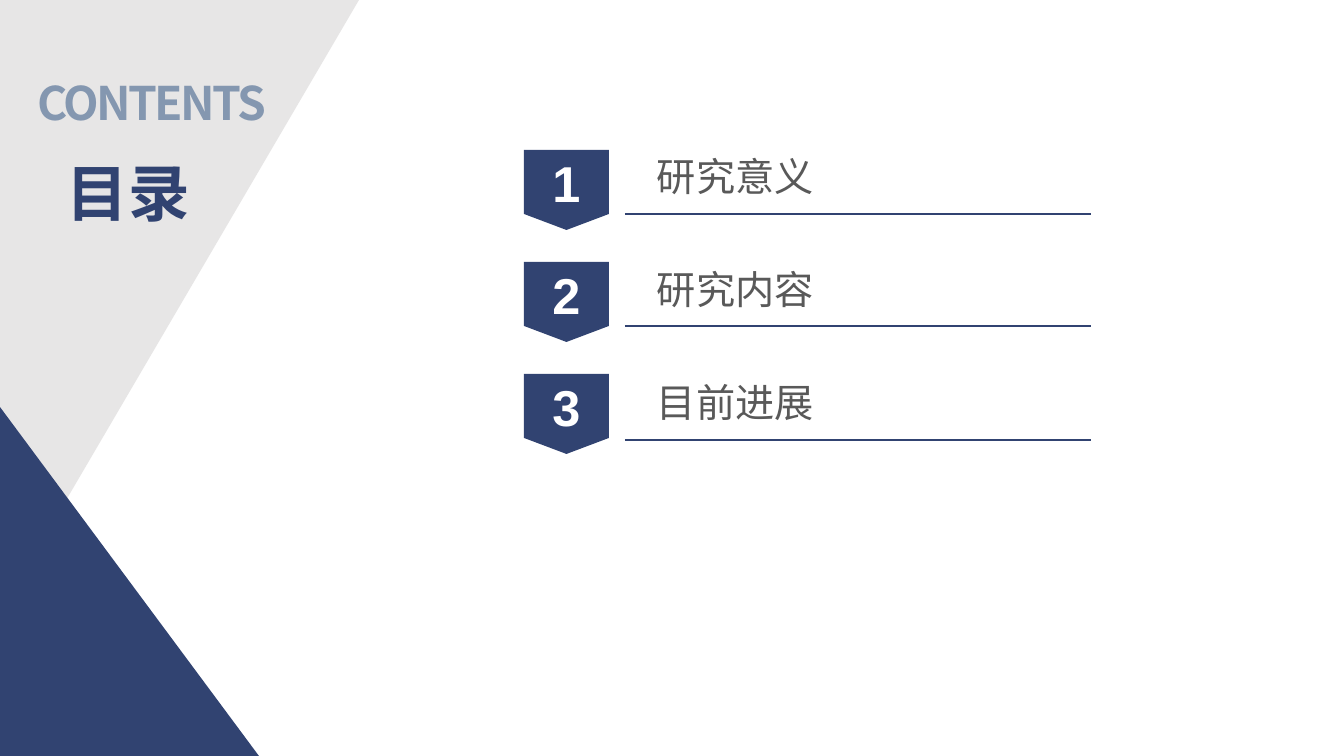
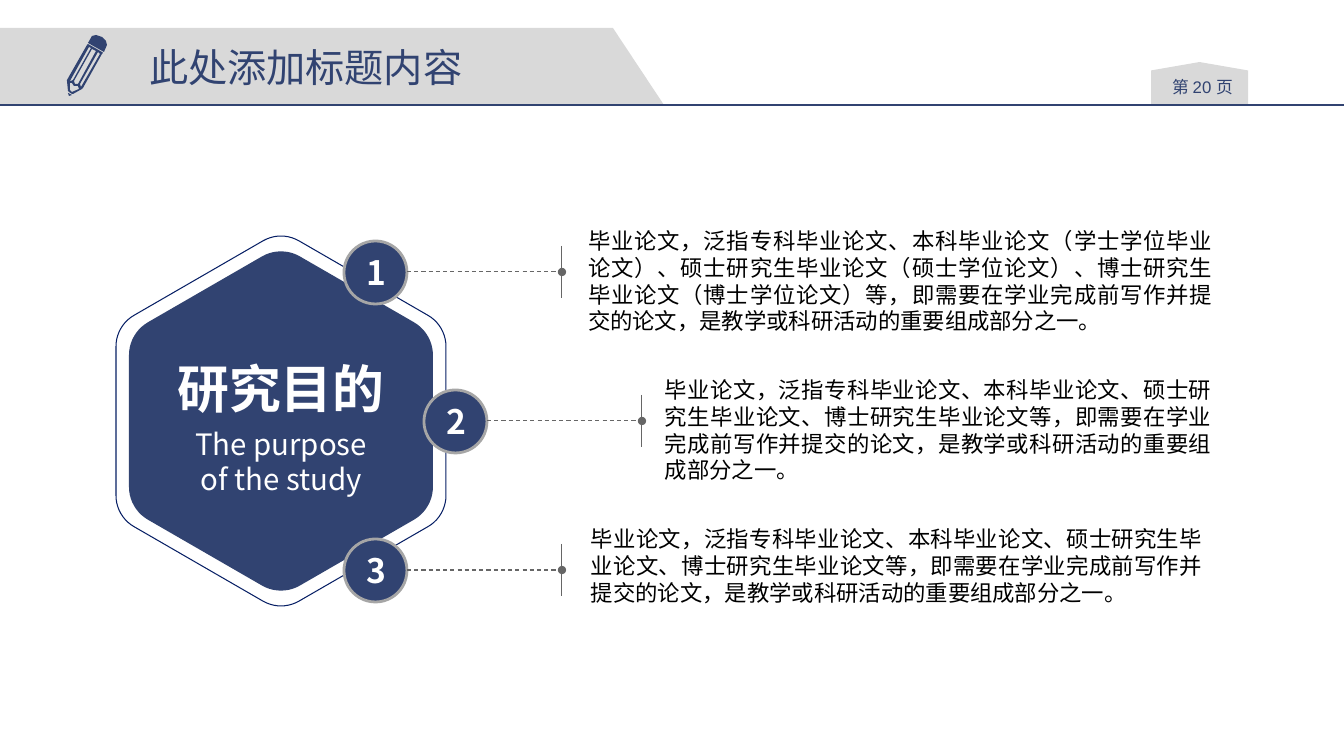
"""Build a contents slide and a research-purpose slide."""
from math import cos, radians, sin, sqrt

from lxml.etree import SubElement
from pptx import Presentation
from pptx.dml.color import RGBColor
from pptx.enum.dml import MSO_LINE
from pptx.enum.shapes import MSO_CONNECTOR, MSO_SHAPE
from pptx.enum.text import MSO_ANCHOR, MSO_AUTO_SIZE, PP_ALIGN
from pptx.oxml.ns import qn
from pptx.util import Pt

PX = 914400 / 100.8
NAVY, WHITE, BLACK = "314371", "FFFFFF", "000000"
PALE, BAND, STEEL = "E7E6E6", "D9D9D9", "8497B0"
CHARCOAL, LEADER, RING, OUTLINE = "595959", "666666", "A6A6A6", "071F65"
CJK = "Noto Sans CJK SC"


def style(shape, fill=None, line=None, width=1):
    """Set fill and line, and switch the theme shadow off."""
    if fill:
        shape.fill.solid()
        shape.fill.fore_color.rgb = RGBColor.from_string(fill)
    elif hasattr(shape, "fill"):
        shape.fill.background()
    if line:
        shape.line.color.rgb = RGBColor.from_string(line)
        shape.line.width = Pt(width)
    else:
        shape.line.fill.background()
    SubElement(shape._element.spPr, qn("a:effectLst"))


def write(shape, text, size, color, align=PP_ALIGN.LEFT, bold=False,
          latin=CJK, inset=(10, 5), anchor=MSO_ANCHOR.TOP):
    """Fill a shape with one paragraph and return its font."""
    frame = shape.text_frame
    frame.text = text
    frame.word_wrap = True
    frame.auto_size = MSO_AUTO_SIZE.NONE
    frame.vertical_anchor = anchor
    frame.margin_left = frame.margin_right = round(inset[0] * PX)
    frame.margin_top = frame.margin_bottom = round(inset[1] * PX)
    paragraph = frame.paragraphs[0]
    paragraph.alignment = align
    font = paragraph.font
    font.size = Pt(size)
    font.bold = bold
    font.color.rgb = RGBColor.from_string(color)
    font.name = latin
    SubElement(font._rPr, qn("a:ea"), typeface=CJK)
    return font


deck = Presentation()
deck.slide_width, deck.slide_height = round(1344 * PX), round(756 * PX)
contents, purpose = [deck.slides.add_slide(deck.slide_layouts[5]) for _ in range(2)]

hexagons = []
for apothem, radius in [(152, 38), (165, 36)]:
    reach = (apothem - radius) * 2 / sqrt(3)
    hexagons.append([
        (281 + reach * cos(radians(corner)) + radius * cos(radians(corner + turn)),
         421 + reach * sin(radians(corner)) + radius * sin(radians(corner + turn)))
        for corner in range(-90, 270, 60) for turn in range(-30, 31, 6)])
inner_hexagon, outer_hexagon = hexagons

pencil_cap = [(88, 43), (92, 36), (96, 35), (102, 37), (106, 41), (107, 45), (104, 52)]
pencil_body = [
    [(67, 81), (68, 91), (69, 92), (72, 94), (73, 94), (82, 89), (83, 88),
     (102, 54), (103, 53), (102, 52), (88, 44), (87, 45), (67, 80)],
    [(70, 81), (89, 47), (91, 48), (73, 80), (71, 81)],
    [(72, 92), (70, 90), (70, 83), (72, 83), (74, 86), (78, 86), (79, 89)],
    [(74, 81), (92, 49), (96, 51), (78, 84), (75, 84)],
    [(81, 87), (80, 84), (98, 52), (100, 54)],
]
pencil_lead = [(72, 95), (68, 93), (69, 96)]

for slide, contours, fill, line in [
    (contents, [[(0, 0), (359, 0), (0, 613)]], PALE, None),
    (contents, [[(0, 756), (259, 756), (0, 407)]], NAVY, None),
    (purpose, [[(0, 28), (613, 28), (664, 105), (0, 105)]], BAND, None),
    (purpose, [pencil_cap], NAVY, None),
    (purpose, pencil_body, NAVY, None),
    (purpose, [pencil_lead], NAVY, None),
    (purpose, [inner_hexagon], NAVY, None),
    (purpose, [outer_hexagon], None, OUTLINE),
]:
    scaled = [[(x * PX, y * PX) for x, y in contour] for contour in contours]
    builder = slide.shapes.build_freeform(*scaled[0][0])
    builder.add_line_segments(scaled[0][1:])
    for hole in scaled[1:]:
        builder.move_to(*hole[0])
        builder.add_line_segments(hole[1:])
    style(builder.convert_to_shape(), fill, line, 0.75)

for slide, text, size, align, bold, box in [
    (contents, "目录", 44, PP_ALIGN.CENTER, True, (43, 150, 171, 84)),
    (purpose, "此处添加标题内容", 28, PP_ALIGN.LEFT, False, (139, 38, 350, 57)),
]:
    title = slide.shapes.title
    title.left, title.top, title.width, title.height = [round(v * PX) for v in box]
    write(title, text, size, NAVY, align, bold)
    slide.shapes._spTree.append(title._element)

heading = contents.shapes.add_textbox(*[round(v * PX) for v in (22, 66, 302, 72)])
heading_font = write(heading, "CONTENTS", 33, STEEL, bold=True, inset=(16, 8))
heading_font._rPr.set("spc", "-190")

for index, (chapter, rule_y) in enumerate(
        [("研究意义", 214), ("研究内容", 326), ("目前进展", 440)]):
    marker = contents.shapes.add_shape(
        MSO_SHAPE.FLOWCHART_OFFPAGE_CONNECTOR,
        *[round(v * PX) for v in (524, 150 + 112 * index, 85, 80)])
    style(marker, NAVY)
    write(marker, str(index + 1), 36, WHITE, PP_ALIGN.CENTER, True, "Arial",
          anchor=MSO_ANCHOR.MIDDLE)
    rule = contents.shapes.add_connector(
        MSO_CONNECTOR.STRAIGHT, *[round(v * PX) for v in (625, rule_y, 1091, rule_y)])
    style(rule, line=NAVY)
    label = contents.shapes.add_textbox(
        *[round(v * PX) for v in (647, 147 + 113 * index, 200, 57)])
    write(label, chapter, 28, CHARCOAL)

page_tab = purpose.shapes.add_shape(
    MSO_SHAPE.FLOWCHART_OFFPAGE_CONNECTOR, *[round(v * PX) for v in (1151, 62, 97, 42)])
page_tab.rotation = 180
style(page_tab, BAND)
header_rule = purpose.shapes.add_connector(
    MSO_CONNECTOR.STRAIGHT, *[round(v * PX) for v in (0, 105, 1344, 105)])
style(header_rule, line=NAVY)

for text, size, color, bold, latin, inset, box in [
    ("第 20 页", 12, NAVY, False, "Arial", (0, 4), (1157, 73, 91, 30)),
    ("研究目的", 37, WHITE, True, CJK, (0, 0), (149, 357, 264, 64)),
    ("The purpose of the study", 21, WHITE, False, CJK, (0, 0), (180, 426, 202, 73)),
]:
    caption = purpose.shapes.add_textbox(*[round(v * PX) for v in box])
    write(caption, text, size, color, PP_ALIGN.CENTER, bold, latin, inset)

full_text = ("毕业论文，泛指专科毕业论文、本科毕业论文（学士学位毕业论文）、"
             "硕士研究生毕业论文（硕士学位论文）、博士研究生毕业论文（博士学位论文）等，"
             "即需要在学业完成前写作并提交的论文，是教学或科研活动的重要组成部分之一。")
short_text = ("毕业论文，泛指专科毕业论文、本科毕业论文、硕士研究生毕业论文、"
              "博士研究生毕业论文等，即需要在学业完成前写作并提交的论文，"
              "是教学或科研活动的重要组成部分之一。")
for index, (badge_x, text, text_x, text_width, text_height) in enumerate([
    (344, full_text, 588, 625, 109),
    (424, short_text, 665, 547, 109),
    (344, short_text, 591, 612, 82),
]):
    badge_y = 241 + 149 * index
    middle, stop = badge_y + 31, badge_x + 218
    badge = purpose.shapes.add_shape(
        MSO_SHAPE.OVAL, *[round(v * PX) for v in (badge_x, badge_y, 63, 63)])
    style(badge, NAVY, RING, 2)
    write(badge, str(index + 1), 24, WHITE, PP_ALIGN.CENTER, True,
          inset=(13, 7), anchor=MSO_ANCHOR.MIDDLE)
    leader = purpose.shapes.add_connector(
        MSO_CONNECTOR.STRAIGHT,
        *[round(v * PX) for v in (badge_x + 63, middle, stop, middle)])
    style(leader, line=LEADER, width=0.75)
    leader.line.dash_style = MSO_LINE.DASH
    SubElement(leader.line._get_or_add_ln(), qn("a:tailEnd"), type="oval")
    bar = purpose.shapes.add_connector(
        MSO_CONNECTOR.STRAIGHT,
        *[round(v * PX) for v in (stop, middle - 26, stop, middle + 26)])
    style(bar, line=LEADER, width=0.75)
    passage = purpose.shapes.add_textbox(
        *[round(v * PX) for v in (text_x, badge_y - 14, text_width, text_height)])
    write(passage, text, 16, BLACK, PP_ALIGN.JUSTIFY, inset=(0, 0))

deck.save("out.pptx")
